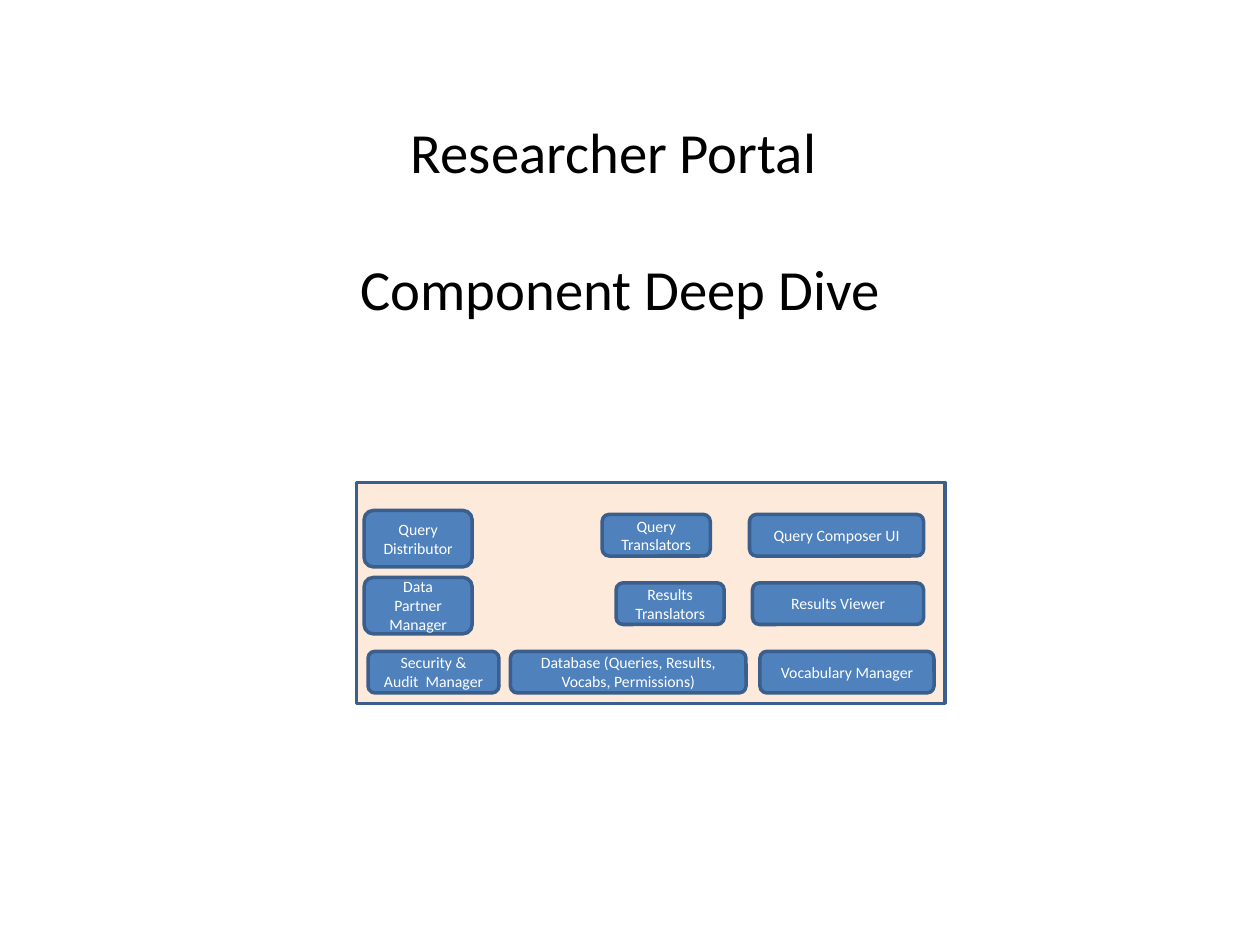
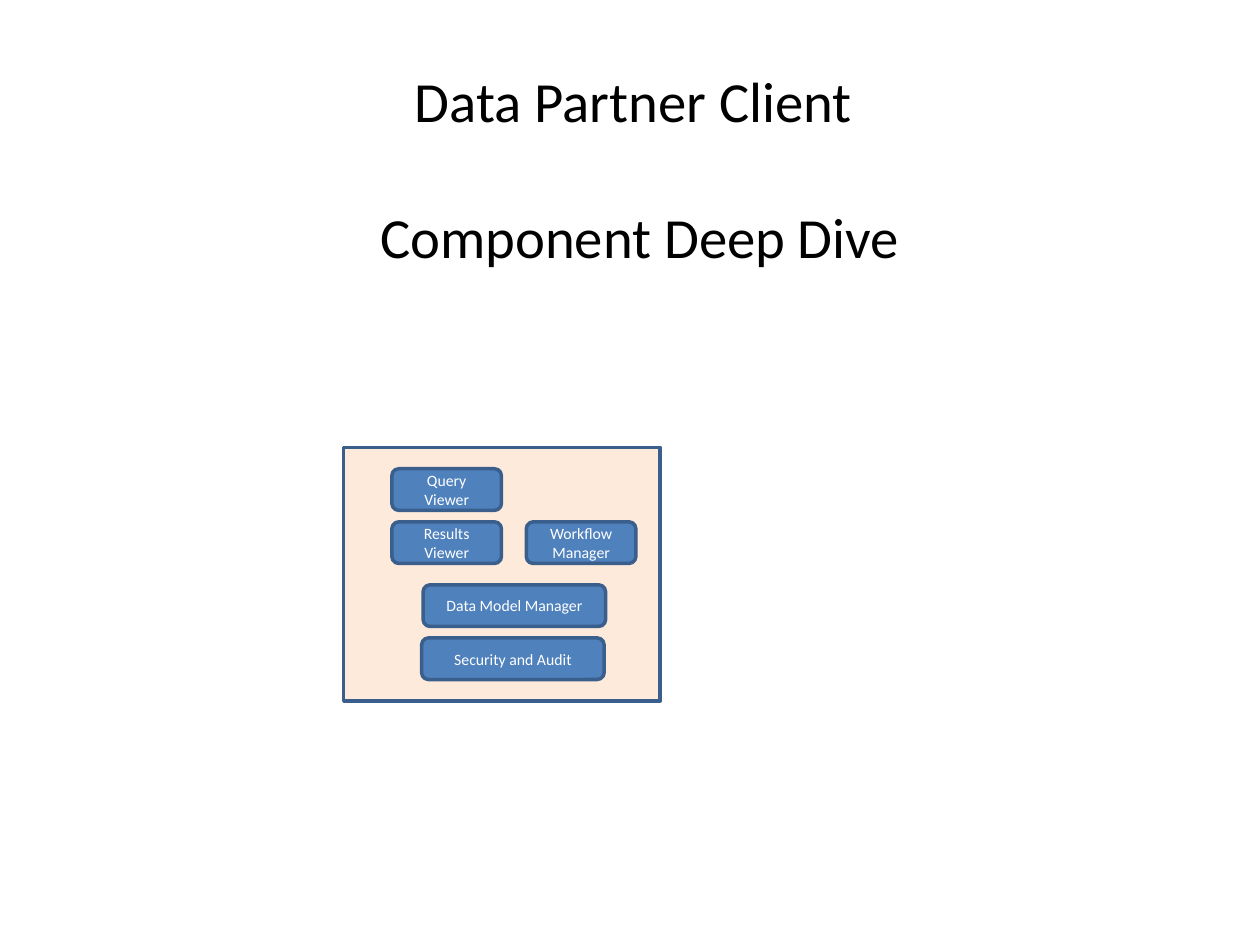
from pptx import Presentation
from pptx.dml.color import RGBColor
from pptx.enum.shapes import MSO_SHAPE
from pptx.enum.text import MSO_ANCHOR, PP_ALIGN
from pptx.util import Cm, Pt

RECT, ROUNDED = MSO_SHAPE.RECTANGLE, MSO_SHAPE.ROUNDED_RECTANGLE
MIDDLE, CENTER = MSO_ANCHOR.MIDDLE, PP_ALIGN.CENTER

BLACK = RGBColor(0x00, 0x00, 0x00)
WHITE = RGBColor(0xFF, 0xFF, 0xFF)
PEACH = RGBColor(0xFD, 0xEA, 0xDA)
BLUE = RGBColor(0x4F, 0x81, 0xBD)
DARK_BLUE = RGBColor(0x3A, 0x5F, 0x8C)

FONT = "Calibri"
TITLE_SIZE, TITLE_GAP, LABEL_SIZE = Pt(32.4), Pt(39), Pt(9)
TITLE_W, TITLE_H = 22.86, 2.08
BOX_H, TALL_H = 0.84, 1.14

# Component: label, left and top within the panel, width, height (cm)
PORTAL_ROWS = (0.64, 2.02, 3.4)
PORTAL = [
    ("Query Composer UI", 7.92, PORTAL_ROWS[0], 3.51, BOX_H),
    ("Vocabulary Manager", 8.13, PORTAL_ROWS[2], 3.51, BOX_H),
    ("Database (Queries, Results, Vocabs, Permissions)",
     3.1, PORTAL_ROWS[2], 4.75, BOX_H),
    ("Query Distributor", 0.15, 0.56, 2.18, TALL_H),
    ("Data Partner Manager", 0.15, 1.91, 2.18, TALL_H),
    ("Query Translators", 4.95, PORTAL_ROWS[0], 2.18, BOX_H),
    ("Results Translators", 5.23, PORTAL_ROWS[1], 2.18, BOX_H),
    ("Security & Audit  Manager", 0.23, PORTAL_ROWS[2], 2.64, BOX_H),
    ("Results Viewer", 7.98, PORTAL_ROWS[1], 3.45, BOX_H),
]
CLIENT = [
    ("Data Model Manager", 1.6, 2.77, 3.68, BOX_H),
    ("Query Viewer", 0.97, 0.43, 2.21, BOX_H),
    ("Results Viewer", 0.97, 1.5, 2.21, BOX_H),
    ("Workflow Manager", 3.68, 1.5, 2.21, BOX_H),
    ("Security and Audit", 1.57, 3.84, 3.68, BOX_H),
]


def style_text(tf, size, color):
    tf.word_wrap = True
    tf.vertical_anchor = MIDDLE
    for p in tf.paragraphs:
        p.alignment = CENTER
        for r in p.runs:
            r.font.name, r.font.size = FONT, size
            r.font.color.rgb = color


def add_title(s, subject, left, top):
    tf = s.shapes.add_textbox(
        Cm(left), Cm(top), Cm(TITLE_W), Cm(TITLE_H)).text_frame
    tf.text = f"{subject} \nComponent Deep Dive"
    tf.paragraphs[1].space_before = TITLE_GAP
    style_text(tf, TITLE_SIZE, BLACK)


def add_block(s, kind, box, fill):
    sp = s.shapes.add_shape(kind, *(Cm(v) for v in box))
    sp.shadow.inherit = False
    sp.fill.solid()
    sp.fill.fore_color.rgb = fill
    sp.line.color.rgb = DARK_BLUE
    sp.line.width = Pt(2)
    return sp


def add_panel(s, box, components):
    """Draw the panel and its components, placed from the panel's corner."""
    add_block(s, RECT, box, PEACH)
    left, top = box[:2]
    for label, dx, dy, width, height in components:
        sp = add_block(s, ROUNDED, (left + dx, top + dy, width, height), BLUE)
        sp.text_frame.text = label
        style_text(sp.text_frame, LABEL_SIZE, WHITE)


def add_deep_dive(prs, subject, title_at, panel, components):
    s = prs.slides.add_slide(prs.slide_layouts[6])
    add_title(s, subject, *title_at)
    add_panel(s, panel, components)


def main():
    prs = Presentation()
    prs.slide_width, prs.slide_height = Cm(25.4), Cm(19.05)
    add_deep_dive(prs, "Researcher Portal", (1.07, 3.38),
                  (7.19, 9.73, 11.86, 4.45), PORTAL)
    add_deep_dive(prs, "Data Partner Client", (1.47, 2.34),
                  (6.93, 9.02, 6.38, 5.11), CLIENT)
    prs.save("out.pptx")


if __name__ == "__main__":
    main()
